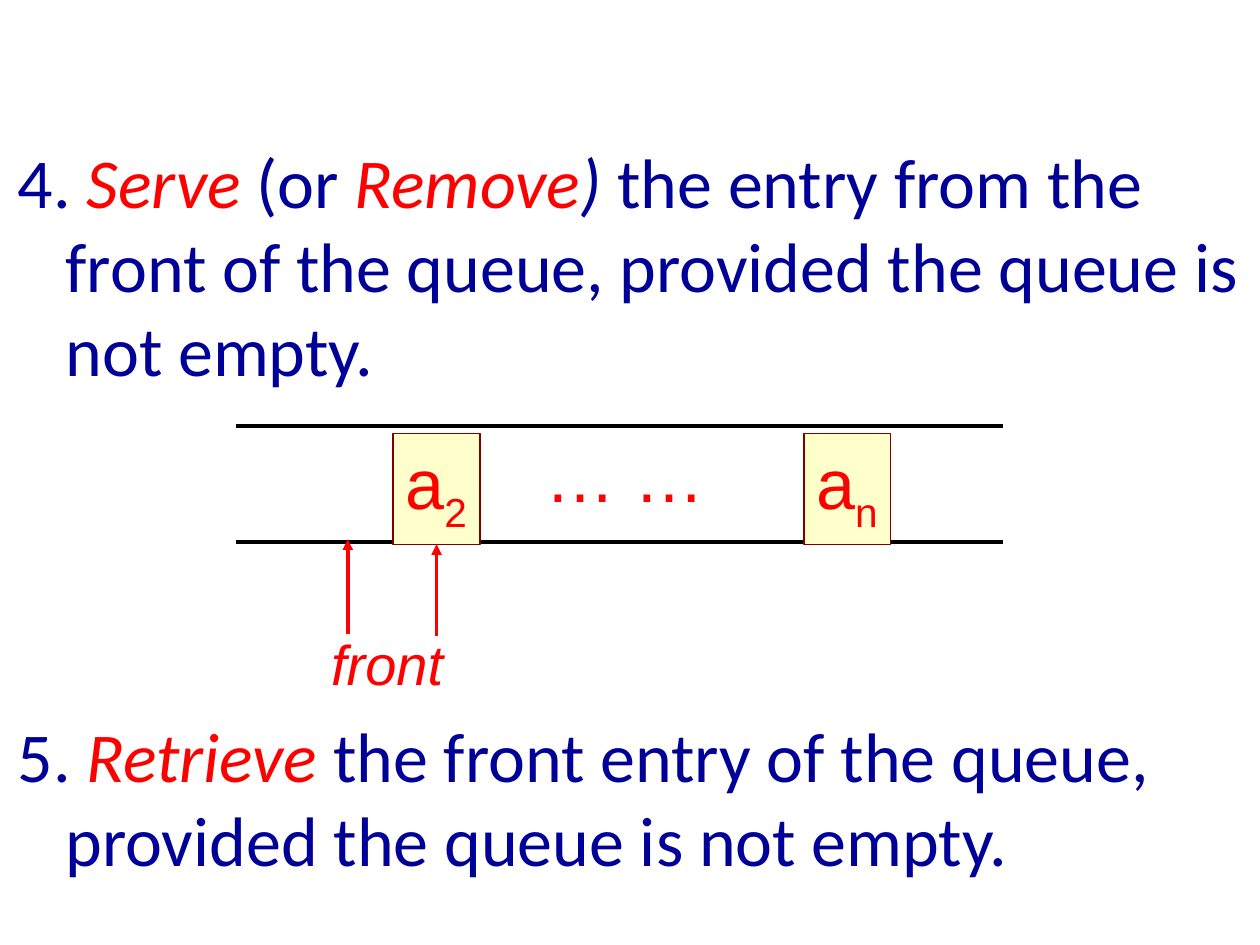
from lxml import etree
from pptx import Presentation
from pptx import util as u
from pptx.dml.color import RGBColor
from pptx.enum import shapes, text
from pptx.oxml.ns import qn

BLACK, NAVY, RED, MAROON, CREAM = "000000", "000099", "FF0000", "800000", "FFFFCC"


def rgb(value):
    return RGBColor.from_string(value)


class QueueSlide:
    body_font, label_font = "Calibri", "Arial"
    hanging = u.Inches(0.38)

    def __init__(self, prs):
        self.s = prs.slides.add_slide(prs.slide_layouts[1])
        title = self.s.shapes.title
        title._element.getparent().remove(title._element)

    def run(self, p, words, size, font, color, italic=False):
        r = p.add_run()
        r.text = words
        r.font.size, r.font.name, r.font.italic = u.Pt(size), font, italic
        r.font.color.rgb = rgb(color)
        return r

    def body(self, left, top, width, height, items, gap):
        """Fill the body; each item is a list of (words, color, italic)."""
        sp = self.s.placeholders[1]
        sp.left, sp.top, sp.width, sp.height = map(u.Inches, (left, top, width, height))
        tf = sp.text_frame
        tf.auto_size = text.MSO_AUTO_SIZE.NONE
        tf.vertical_anchor = text.MSO_ANCHOR.TOP
        for i, item in enumerate(items):
            p = tf.add_paragraph() if i else tf.paragraphs[0]
            pPr = p._p.get_or_add_pPr()
            pPr.set("marL", str(self.hanging))
            pPr.set("indent", str(-self.hanging))
            etree.SubElement(pPr, qn("a:buNone"))
            p.space_before = u.Pt(gap if i else 0)
            for words, color, italic in item:
                self.run(p, words, 40, self.body_font, color, italic)

    def line(self, start, end, color, width):
        c = self.s.shapes.add_connector(
            shapes.MSO_CONNECTOR.STRAIGHT, *map(u.Inches, start + end))
        c.line.color.rgb = rgb(color)
        c.line.width = u.Pt(width)
        etree.SubElement(c._element.spPr, qn("a:effectLst"))
        return c

    def arrow(self, start, end):
        c = self.line(start, end, RED, 2)
        etree.SubElement(c.line._get_or_add_ln(), qn("a:tailEnd"), type="triangle")
        return c

    def cell(self, left, top, width, height, index):
        sp = self.s.shapes.add_shape(
            shapes.MSO_SHAPE.RECTANGLE, *map(u.Inches, (left, top, width, height)))
        sp.shadow.inherit = False
        sp.fill.solid()
        sp.fill.fore_color.rgb = rgb(CREAM)
        sp.line.color.rgb = rgb(MAROON)
        sp.line.width = u.Pt(0.75)
        tf = sp.text_frame
        tf.word_wrap = False
        tf.vertical_anchor = text.MSO_ANCHOR.TOP
        p = tf.paragraphs[0]
        p.alignment = text.PP_ALIGN.LEFT
        self.run(p, "a", 40, self.label_font, RED)
        subscript = self.run(p, index, 40, self.label_font, RED)
        subscript.font._element.set("baseline", "-25000")
        return sp

    def label(self, left, top, width, height, words, size, italic=False):
        sp = self.s.shapes.add_textbox(*map(u.Inches, (left, top, width, height)))
        tf = sp.text_frame
        tf.word_wrap = False
        tf.auto_size = text.MSO_AUTO_SIZE.SHAPE_TO_FIT_TEXT
        self.run(tf.paragraphs[0], words, size, self.label_font, RED, italic)


def main():
    prs = Presentation()
    prs.slide_width, prs.slide_height = u.Inches(10), u.Inches(7.5)
    slide = QueueSlide(prs)

    serve = [
        ("4. ", NAVY, False), ("Serve ", RED, True), ("(or ", NAVY, False),
        ("Remove", RED, True), (") ", NAVY, True),
        ("the entry from the front of the queue, provided the queue is not empty.",
         NAVY, False)]
    retrieve = [
        ("5. ", NAVY, False), ("Retrieve ", RED, True),
        ("the front entry of the queue, provided the queue is not empty.", NAVY, False)]
    slide.body(0.04, 1.05, 10, 6.17, [serve, retrieve], gap=184)

    for y in (3.38, 4.3):
        slide.line((1.87, y), (7.96, y), BLACK, 2.25)
    second, last = [slide.cell(x, 3.44, 0.69, 0.88, index)
                    for x, index in ((3.12, "2"), (6.38, "n"))]
    slide.label(4.23, 3.38, 1.5, 0.77, "… …", 40)

    slide.label(2.53, 4.95, 1.09, 0.64, "front", 32, italic=True)
    slide.arrow((2.76, 5.03), (2.76, 4.28))
    front = slide.arrow((3.46, 5.05), (3.46, 4.32))
    front.end_connect(second, 2)
    front.begin_x = front.end_x

    prs.save("out.pptx")


if __name__ == "__main__":
    main()
